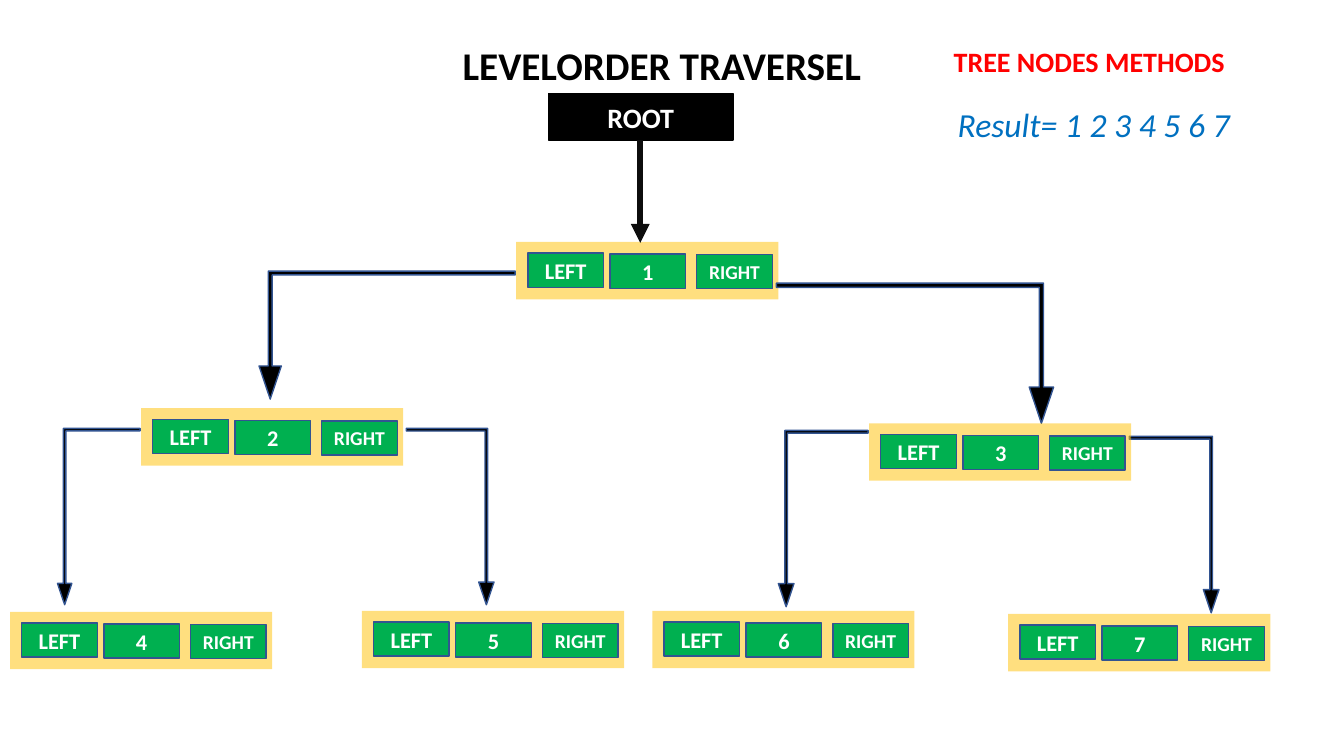
from typing import NamedTuple

from lxml.etree import SubElement
from pptx import Presentation
from pptx.dml.color import RGBColor as RGB
from pptx.enum.shapes import MSO_CONNECTOR, MSO_SHAPE as SHAPE
from pptx.enum.text import MSO_ANCHOR as ANCHOR, MSO_AUTO_SIZE as FIT, PP_ALIGN as ALIGN
from pptx.oxml.ns import qn
from pptx.util import Inches, Pt

# Grid: ten columns or rows to the inch
COL = ROW = Inches(0.1)
COLORS = {
    "black": "000000", "white": "FFFFFF", "stem": "0D0D0D", "edge": "325491",
    "amber": "FFC000", "green": "00B050", "red": "FF0000", "blue": "0070C0",
}


class Box(NamedTuple):
    col: float
    row: float
    cols: float
    rows: float


class Node(NamedTuple):
    value: str
    col: float
    row: float


class Field(NamedTuple):
    label: str
    dcol: float
    drow: float
    size: int


class Branch(NamedTuple):
    box: Box
    to_left: bool


class Note(NamedTuple):
    text: str
    box: Box
    size: int
    color: str
    bold: bool = False
    italic: bool = False


TITLE = Note("LEVELORDER TRAVERSEL", Box(44.9, 3.6, 43.6, 5.7), 28, "black", bold=True)
NOTES = [
    Note("TREE NODES METHODS", Box(93.6, 3.9, 32.5, 4.4), 20, "red", bold=True),
    Note("Result= 1 2 3 4 5 6 7", Box(94, 9.8, 36, 5), 24, "blue", italic=True),
]
TOP_NODE = Node("1", 51.2, 24)
NODES = [
    Node("3", 86.2, 42), Node("7", 100, 60.9), Node("6", 64.7, 60.6),
    Node("4", 1, 60.7), Node("5", 35.9, 60.6), Node("2", 14, 40.5),
]
BRANCHES = [
    Branch(Box(25.7, 26.9, 25.4, 12.7), True),
    Branch(Box(112, 43.3, 8.9, 17.5), False),
    Branch(Box(40.3, 42.5, 8.7, 17.5), False),
    Branch(Box(77, 28.1, 27.5, 13.9), False),
    Branch(Box(5.7, 42.5, 8.2, 17.5), True),
    Branch(Box(77.2, 42.7, 8.9, 17.5), True),
]


def rgb(name: str) -> RGB:
    return RGB.from_string(COLORS[name])


def place(box: Box) -> list[int]:
    return [round(n * unit) for n, unit in zip(box, (COL, ROW, COL, ROW))]


def write(tf, text: str, *, size: int, color: str = "white", bold: bool = False,
          italic: bool = False, align=None) -> None:
    p = tf.paragraphs[0]
    p.alignment = align
    r = p.add_run()
    r.text = text
    f = r.font
    f.name, f.size, f.bold, f.italic = "Calibri", Pt(size), bold, italic
    f.color.rgb = rgb(color)


def add_note(shapes, note: Note) -> None:
    tf = shapes.add_textbox(*place(note.box)).text_frame
    tf.word_wrap = True
    tf.auto_size = FIT.SHAPE_TO_FIT_TEXT
    write(tf, note.text, size=note.size, color=note.color, bold=note.bold, italic=note.italic)


def add_shape(shapes, kind, box: Box, fill: str, line: str | None = None):
    sp = shapes.add_shape(kind, *place(box))
    sp.shadow.inherit = False
    sp.fill.solid()
    sp.fill.fore_color.rgb = rgb(fill)
    if line:
        sp.line.color.rgb = rgb(line)
        sp.line.width = Pt(1)
    else:
        sp.line.fill.background()
    return sp


def add_label(shapes, box: Box, text: str, size: int, fill: str, line: str) -> None:
    tf = add_shape(shapes, SHAPE.RECTANGLE, box, fill, line).text_frame
    tf.vertical_anchor = ANCHOR.MIDDLE
    write(tf, text, size=size, bold=True, align=ALIGN.CENTER)


def add_node(shapes, node: Node) -> None:
    grp = shapes.add_group_shape().shapes
    frame = add_shape(grp, SHAPE.RECTANGLE, Box(node.col, node.row, 26, 5.7), "amber")
    clr = frame._element.spPr.find(qn("a:solidFill"))[0]
    SubElement(clr, qn("a:alpha")).set("val", "50000")
    fields = [Field("LEFT", 1.15, 1.1, 16), Field(node.value, 9.3, 1.2, 16),
              Field("RIGHT", 17.9, 1.25, 14)]
    for fd in fields:
        box = Box(node.col + fd.dcol, node.row + fd.drow, 7.5, 3.4)
        add_label(grp, box, fd.label, fd.size, "green", "edge")


def add_branch(shapes, branch: Branch) -> None:
    sp = add_shape(shapes, SHAPE.BENT_UP_ARROW, branch.box, "black", "edge")
    for i, share in enumerate((0.03, 0.087, 0.259)):
        sp.adjustments[i] = share
    xfrm = sp._element.spPr.find(qn("a:xfrm"))
    xfrm.set("flipV", "1")
    if branch.to_left:
        xfrm.set("flipH", "1")


def add_stem(shapes, col: float, top: float, bottom: float) -> None:
    x, y1, y2 = round(col * COL), round(top * ROW), round(bottom * ROW)
    c = shapes.add_connector(MSO_CONNECTOR.STRAIGHT, x, y1, x, y2)
    c.line.color.rgb = rgb("stem")
    c.line.width = Pt(4.5)
    spPr = c._element.spPr
    SubElement(spPr.find(qn("a:ln")), qn("a:tailEnd")).set("type", "triangle")
    SubElement(spPr, qn("a:effectLst"))


def main() -> None:
    prs = Presentation()
    prs.slide_width, prs.slide_height = Inches(13.33), Inches(7.5)
    shapes = prs.slides.add_slide(prs.slide_layouts[6]).shapes

    # Title, root and top node
    add_note(shapes, TITLE)
    add_node(shapes, TOP_NODE)
    add_label(shapes, Box(54.4, 9.3, 18.3, 4.6), "ROOT", 20, "black", "black")
    add_stem(shapes, 63.5, 13.9, 24.1)

    # Branches, then the nodes over them
    for branch in BRANCHES:
        add_branch(shapes, branch)
    for node in NODES:
        add_node(shapes, node)

    # Heading and result
    for note in NOTES:
        add_note(shapes, note)

    prs.save("out.pptx")


if __name__ == "__main__":
    main()
